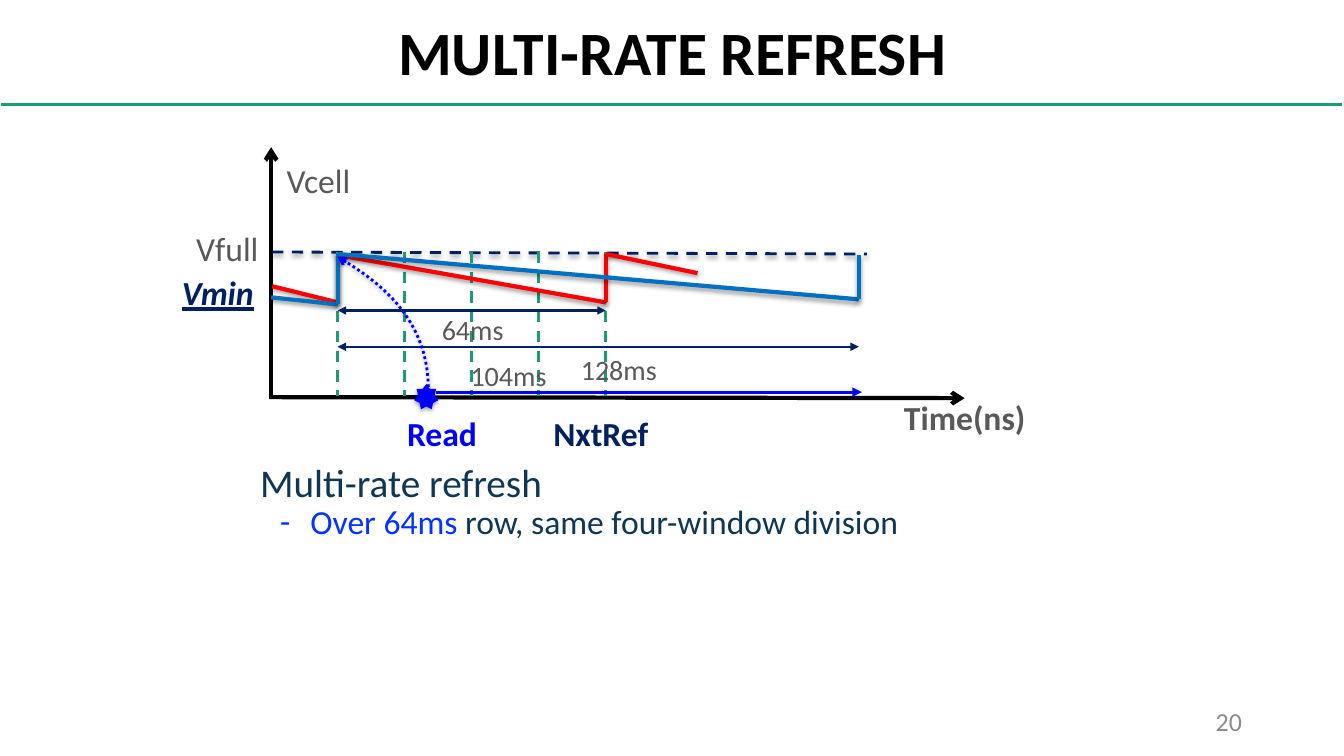
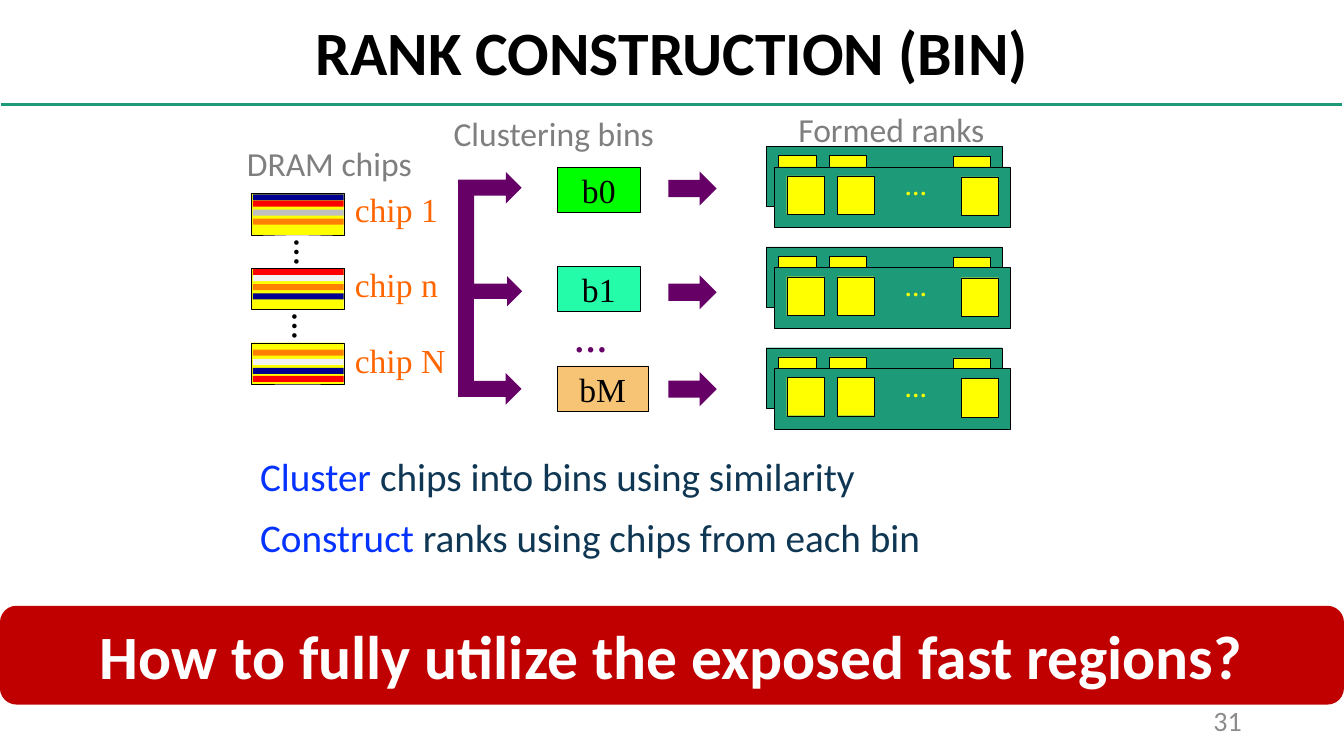
from dataclasses import dataclass
from itertools import pairwise

from lxml.etree import SubElement
from pptx import Presentation
from pptx.dml.color import RGBColor
from pptx.enum.dml import MSO_LINE
from pptx.enum.shapes import MSO_CONNECTOR, MSO_SHAPE
from pptx.enum.text import MSO_ANCHOR, PP_ALIGN
from pptx.oxml.ns import qn
from pptx.slide import Slide
from pptx.util import Emu, Inches, Pt

# The grid has 10 columns and 10 rows to the inch.
CELL = Inches(0.1)
SLIDE_COLS, SLIDE_ROWS = 133.33, 75

COLORS = {
    "black": "000000", "white": "FFFFFF", "teal": "1D9A78", "number": "8C8C8C",
    "ink": "0F3754", "accent": "0432FF", "axis_text": "595959", "caption": "7F7F7F",
    "navy": "002060", "fast_row": "FF0000", "slow_row": "0070C0", "read": "0000FF",
    "banner": "C00000", "arrow": "660066", "chip_text": "FF6600", "chip": "FFFF00",
    "stripe_navy": "000090", "stripe_red": "FF0000", "stripe_orange": "FF8000",
    "stripe_grey": "BFBFBF", "stripe_light": "F2F2F2",
    "bin_first": "00FF00", "bin_second": "24FCAA", "bin_last": "F7C475",
}
SANS, SERIF = "Calibri", "Times New Roman"
TITLE = {"size": 44, "bold": True}
BODY = {"size": 28, "color": "ink"}
AXIS = {"color": "axis_text"}
SPAN = {"size": 20, "color": "axis_text"}
CAPTION = {"color": "caption"}
LEFT, CENTER, RIGHT = PP_ALIGN.LEFT, PP_ALIGN.CENTER, PP_ALIGN.RIGHT


def cells(count):
    return Emu(round(count * CELL))


def rgb(name):
    return RGBColor.from_string(COLORS[name])


def style_font(font, **changes):
    values = {"name": SANS, "size": 24, "color": "black"} | changes
    font.color.rgb = rgb(values.pop("color"))
    values["size"] = Pt(values["size"])
    for attribute, value in values.items():
        setattr(font, attribute, value)


def write(paragraph, runs, align=LEFT, bullet=None, **spacing):
    """Fill a paragraph with (text, format) runs."""
    if bullet:
        properties = paragraph._p.get_or_add_pPr()
        properties.set("marL", str(Inches(0.5)))
        properties.set("indent", str(-Inches(0.3)))
        SubElement(properties, qn("a:buFont")).set("typeface", SANS)
        SubElement(properties, qn("a:buChar")).set("char", bullet)
    for attribute, value in ({"alignment": align} | spacing).items():
        setattr(paragraph, attribute, value)
    for text, changes in runs:
        run = paragraph.add_run()
        run.text = text
        style_font(run.font, **changes)


def set_frame(frame, anchor):
    values = {"word_wrap": True, "vertical_anchor": anchor, "margin_left": 0,
              "margin_right": 0, "margin_top": 0, "margin_bottom": 0}
    for attribute, value in values.items():
        setattr(frame, attribute, value)


def set_shadow(shape, visible):
    """Replace the theme's shadow by a soft drop shadow or by none."""
    properties = shape.element.spPr
    effects = properties.find(qn("a:effectLst"))
    if effects is None:
        effects = SubElement(properties, qn("a:effectLst"))
    if visible:
        outer = SubElement(effects, qn("a:outerShdw"), blurRad="40000", dist="20000",
                           dir="5400000", rotWithShape="0")
        tint = SubElement(outer, qn("a:srgbClr"), val=COLORS["black"])
        SubElement(tint, qn("a:alpha"), val="38000")


def set_stroke(shape, color, width, dash=None, head=None, tail=None):
    shape.line.color.rgb = rgb(color)
    shape.line.width = Pt(width)
    if dash:
        shape.line.dash_style = dash
    stroke = shape.element.spPr.find(qn("a:ln"))
    for tag, kind in (("a:headEnd", head), ("a:tailEnd", tail)):
        if kind:
            SubElement(stroke, qn(tag), type=kind)


@dataclass
class Region:
    """A part of a slide whose contents are placed from its top left corner."""
    slide: Slide
    left: float = 0
    top: float = 0

    def sub(self, left, top):
        return Region(self.slide, self.left + left, self.top + top)

    def at(self, x, y):
        return cells(self.left + x), cells(self.top + y)

    def line(self, start, end, color, width=2, shadow=False, **ends):
        connector = self.slide.shapes.add_connector(
            MSO_CONNECTOR.STRAIGHT, *self.at(*start), *self.at(*end))
        set_stroke(connector, color, width, **ends)
        set_shadow(connector, shadow)

    def trace(self, points, color):
        for start, end in pairwise(points):
            self.line(start, end, color, 3, shadow=True)

    def curve(self, start, pull_start, pull_end, end, color, **ends):
        """Draw a cubic curve through 24 short steps."""
        def point(t):
            weights = ((1 - t) ** 3, 3 * t * (1 - t) ** 2, 3 * t * t * (1 - t), t ** 3)
            corners = (start, pull_start, pull_end, end)
            return self.at(*(sum(w * c[axis] for w, c in zip(weights, corners))
                             for axis in (0, 1)))
        builder = self.slide.shapes.build_freeform(*point(0), scale=1.0)
        builder.add_line_segments([point(step / 24) for step in range(1, 25)], close=False)
        outline = builder.convert_to_shape()
        outline.fill.background()
        outline.shadow.inherit = False
        set_stroke(outline, color, 2, **ends)
        set_shadow(outline, True)

    def block(self, box, fill, kind=MSO_SHAPE.RECTANGLE, outlined=False, shadow=False,
              rotation=0, flips=(), text="", **font):
        shape = self.slide.shapes.add_shape(
            kind, *self.at(*box[:2]), *map(cells, box[2:]))
        shape.rotation = rotation
        for flip in flips:
            shape.element.spPr.find(qn("a:xfrm")).set(flip, "1")
        shape.fill.solid()
        shape.fill.fore_color.rgb = rgb(fill)
        if outlined:
            set_stroke(shape, "black", 0.25)
        else:
            shape.line.fill.background()
        shape.shadow.inherit = False
        set_shadow(shape, shadow)
        if text:
            set_frame(shape.text_frame, MSO_ANCHOR.MIDDLE)
            write(shape.text_frame.paragraphs[0], [(text, font)], CENTER)

    def text_box(self, box, anchor=MSO_ANCHOR.TOP, rotation=0):
        shape = self.slide.shapes.add_textbox(*self.at(*box[:2]), *map(cells, box[2:]))
        shape.rotation = rotation
        set_frame(shape.text_frame, anchor)
        return shape.text_frame

    def label(self, box, text, align=CENTER, rotation=0, **font):
        frame = self.text_box(box, MSO_ANCHOR.MIDDLE, rotation)
        write(frame.paragraphs[0], [(text, font)], align)


def start_slide(deck, title, number, number_size):
    """Add a slide with its title, rule and number; return its whole area."""
    slide = deck.slides.add_slide(deck.slide_layouts[5])
    page = Region(slide)
    heading = slide.shapes.title
    heading.left, heading.top = page.at(9.2, 0.7)
    heading.width, heading.height = cells(115), cells(9.6)
    set_frame(heading.text_frame, MSO_ANCHOR.MIDDLE)
    write(heading.text_frame.paragraphs[0], [(title, TITLE)], CENTER, line_spacing=0.9)
    page.line((0.1, 10.4), (133.1, 10.4), "teal")
    page.label((94.2, 69.5, 29, 4), number, RIGHT, size=number_size, color="number")
    return page


def draw_axes(chart):
    chart.line((0, 0), (0, 25), "black", 3, head="arrow")
    chart.line((-0.2, 24.8), (68.8, 24.9), "black", 3, tail="arrow")
    chart.line((0.1, 10.4), (59.1, 10.6), "navy", dash=MSO_LINE.DASH, shadow=True)
    chart.label((-10.2, 12.7, 9.8, 3.4), "Vmin", color="navy", bold=True, italic=True,
                underline=True)
    chart.label((-8.5, 8.5, 8.3, 3), "Vfull", **AXIS)
    chart.label((0.3, 1.5, 8.8, 3.6), "Vcell", **AXIS)
    chart.label((61.7, 24.3, 14.2, 5), "Time(ns)", bold=True, **AXIS)


def draw_refresh_chart(chart):
    refresh, fast_end, slow_end = 6.6, 33.2, 58.3
    draw_axes(chart)
    window = (fast_end - refresh) / 4
    for index in range(5):
        x = refresh + index * window
        chart.line((x, 10.4), (x, 24.7), "teal", dash=MSO_LINE.DASH)

    chart.trace([(0.1, 13.8), (refresh, 15.4), (refresh, 10.7), (fast_end, 15.4),
                 (fast_end, 10.6), (42.3, 12.5)], "fast_row")
    chart.trace([(0, 14.9), (refresh, 15.6), (refresh, 10.6), (slow_end, 15.1),
                 (slow_end, 10.7)], "slow_row")
    for end, y, width in ((fast_end, 16.2, 2), (slow_end, 19.8, 1.5)):
        chart.line((refresh, y), (end, y), "navy", width, head="triangle",
                   tail="triangle")
    chart.label((15.8, 16.8, 8.4, 2.6), "64ms", **SPAN)
    chart.label((29.3, 20.4, 10.4, 3.2), "128ms", **SPAN)

    chart.block((14.2, 23.5, 2.4, 2.5), "read", MSO_SHAPE.STAR_7_POINT, shadow=True)
    chart.curve((15.6, 23.8), (15.5, 17.5), (11.5, 13.7), (refresh, 10.9), "read",
                dash=MSO_LINE.ROUND_DOT, tail="arrow")
    chart.line((16.4, 24.3), (58.6, 24.3), "read", 2.25, tail="triangle")
    chart.label((18.6, 21, 9.9, 3.3), "104ms", **SPAN)
    chart.label((11.6, 25.9, 10.7, 5), "Read", color="read", bold=True)
    chart.label((26.5, 25.9, 12.4, 5), "NxtRef", color="navy", bold=True)


def build_refresh_slide(deck):
    page = start_slide(deck, "MULTI-RATE REFRESH", "20", 18.5)
    draw_refresh_chart(page.sub(26.9, 14.6))
    body = page.text_box((25.8, 45.5, 82.5, 16.7))
    write(body.paragraphs[0], [("Multi-rate refresh", BODY)])
    write(body.add_paragraph(),
          [("Over 64ms ", {"color": "accent"}),
           ("row, same four-window division", {"color": "ink"})],
          bullet="-", line_spacing=0.9)


def draw_chips(column):
    column.label((-0.4, -5.5, 20, 5), "DRAM chips", LEFT, **CAPTION)
    upper, lower = (0.1, 0.7, 1.6, 2.5), (0.7, 1.6, 2.5, 3.3)
    chips = (("chip 1", upper, ("navy", "red", "grey", "orange")),
             ("chip n", upper, ("red", "light", "orange", "navy")),
             ("chip N", lower, ("orange", "light", "navy", "red")))
    for index, (name, offsets, stripes) in enumerate(chips):
        chip = column.sub(0, index * 7.4)
        chip.block((0, 0, 9.2, 4.1), "chip", outlined=True)
        for offset, stripe in zip(offsets, stripes):
            chip.block((0.2, offset, 9, 0.6), f"stripe_{stripe}")
        column.label((10.3, index * 7.5 - 1, 11, 5), name, LEFT, name=SERIF,
                     color="chip_text")
    for x, y in ((1, 3), (0.8, 10.3)):
        column.label((x, y, 5.2, 5.7), "…", rotation=270, size=20, name=SERIF, bold=True)


def draw_bins(column):
    column.label((0, -5.9, 24, 5), "Clustering bins", LEFT, **CAPTION)
    for box, flips in (((-2.4, 3.3, 12, 6.3), ("flipV",)),
                       ((-2, 14.8, 11.2, 6.3), ("flipH", "flipV"))):
        column.block(box, "arrow", MSO_SHAPE.BENT_UP_ARROW, rotation=270, flips=flips)
    column.block((2, 10.8, 4.8, 3), "arrow", MSO_SHAPE.RIGHT_ARROW)
    bins = (("b0", "first", 0, 8.2), ("b1", "second", 9.8, 8.2), ("bM", "last", 19.7, 9))
    for name, fill, y, width in bins:
        column.block((10.3, y, width, 4.5), f"bin_{fill}", outlined=True, text=name,
                     name=SERIF)
    column.label((10.8, 15.7, 5.6, 2.6), "…", name=SERIF, color="arrow", bold=True)
    for y in (0.4, 10.7, 20.3):
        column.block((21.3, y, 4.8, 3.4), "arrow", MSO_SHAPE.RIGHT_ARROW)


def draw_ranks(column):
    column.label((3.2, -4.2, 22, 5), "Formed ranks", LEFT, **CAPTION)
    for index in range(3):
        back = column.sub(0, index * 10)
        front = back.sub(0.8, 2.05)
        for module in (back, front):
            module.block((0, 0, 23.4, 6), "teal", outlined=True)
            for x, y in ((1.25, 0.9), (6.25, 0.9), (18.55, 1)):
                module.block((x, y, 3.7, 3.8), "chip", outlined=True)
        front.label((11.9, 0.1, 4.3, 3.7), "…", size=16, name=SERIF, color="chip",
                    bold=True)


def build_rank_slide(deck):
    page = start_slide(deck, "RANK CONSTRUCTION (BIN)", "31", 20)
    page.block((0, 60.1, SLIDE_COLS, 9.8), "banner", MSO_SHAPE.ROUNDED_RECTANGLE,
               text="How to fully utilize the exposed fast regions?",
               **TITLE, color="white")
    body = page.text_box((25.8, 44.9, 88.2, 13.5))
    accent = BODY | {"color": "accent"}
    write(body.paragraphs[0],
          [("Cluster", accent), (" chips into bins using similarity", BODY)],
          space_after=Pt(10))
    write(body.add_paragraph(),
          [("Construct", accent), (" ranks using chips from each bin", BODY)])
    draw_chips(page.sub(24.9, 19.2))
    draw_bins(page.sub(45, 16.6))
    draw_ranks(page.sub(76, 14.5))


def main():
    deck = Presentation()
    deck.slide_width, deck.slide_height = cells(SLIDE_COLS), cells(SLIDE_ROWS)
    build_refresh_slide(deck)
    build_rank_slide(deck)
    deck.save("out.pptx")


if __name__ == "__main__":
    main()
